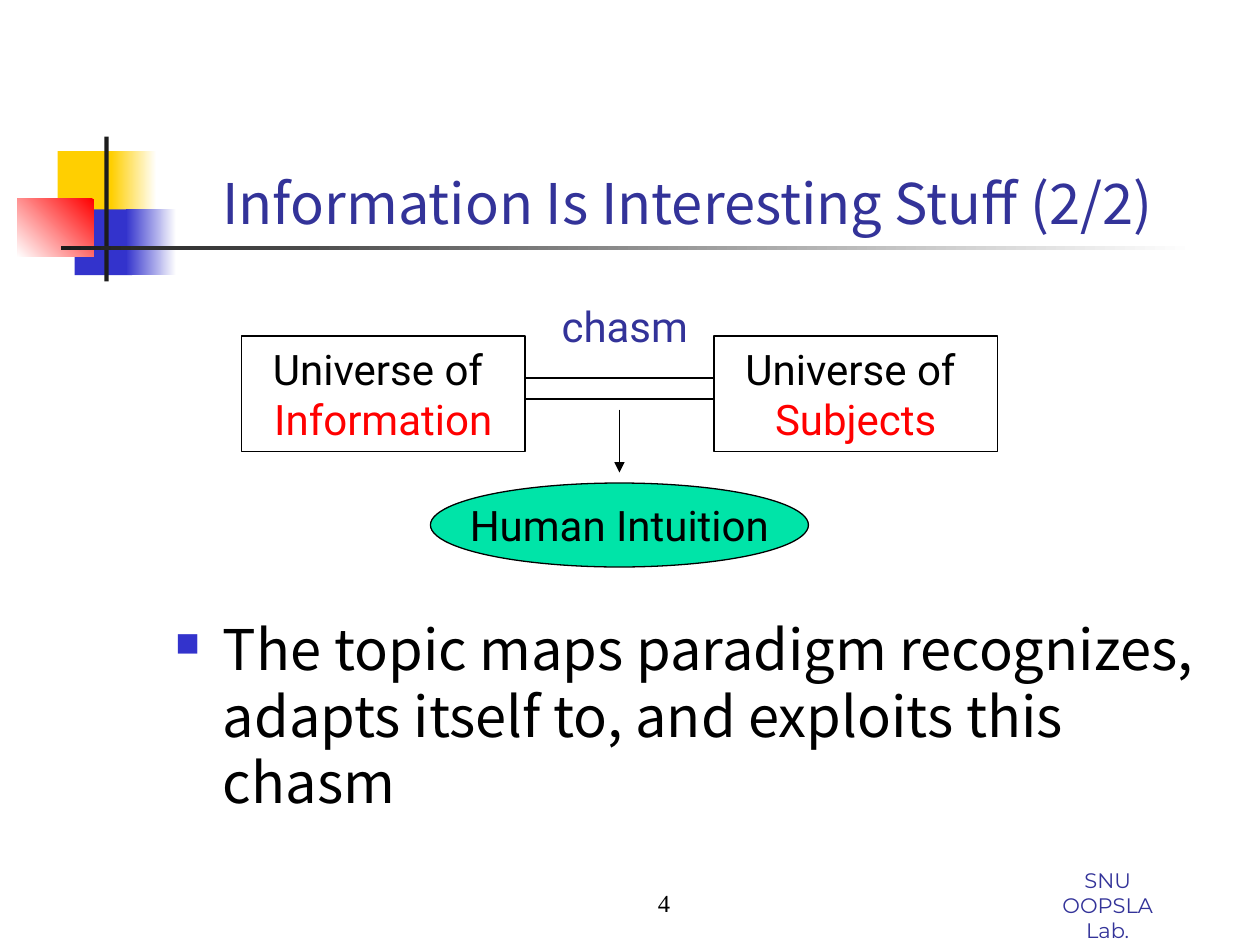
from lxml.etree import SubElement
from pptx import Presentation
from pptx.dml.color import RGBColor
from pptx.enum.shapes import MSO_CONNECTOR, MSO_SHAPE
from pptx.enum.text import MSO_ANCHOR, PP_ALIGN
from pptx.oxml.ns import qn
from pptx.util import Inches, Pt

BLACK = RGBColor(0x00, 0x00, 0x00)
WHITE = RGBColor(0xFF, 0xFF, 0xFF)
DARK = RGBColor(0x1C, 0x1C, 0x1C)
GOLD = RGBColor(0xFF, 0xCF, 0x01)
BLUE = RGBColor(0x33, 0x33, 0xCC)
NAVY = RGBColor(0x33, 0x33, 0x99)
RED = RGBColor(0xFF, 0x00, 0x00)
GREEN = RGBColor(0x00, 0xE4, 0xA8)
SANS, HEAD, LAB, SERIF = "Roboto", "Noto Sans CJK KR", "Montserrat", "Times New Roman"
COLS, ROWS = 120, 90


class Deck:
    """Draws styled elements on one slide, placed by grid columns and rows."""

    def __init__(self):
        self.prs = Presentation()
        self.prs.slide_width, self.prs.slide_height = Inches(10), Inches(7.5)
        self.slide = self.prs.slides.add_slide(self.prs.slide_layouts[6])

    def grid(self, col, row):
        return (round(self.prs.slide_width * col / COLS),
                round(self.prs.slide_height * row / ROWS))

    def label(self, shape, lines, size, font, align=PP_ALIGN.CENTER,
              anchor=MSO_ANCHOR.TOP, wrap=True):
        frame = shape.text_frame
        frame.word_wrap, frame.vertical_anchor = wrap, anchor
        for num, (words, color) in enumerate(lines):
            para = frame.add_paragraph() if num else frame.paragraphs[0]
            para.alignment = align
            run = para.add_run()
            run.text = words
            run.font.size, run.font.name = Pt(size), font
            run.font.color.rgb = color
        return frame

    def shape(self, area, fill, kind=MSO_SHAPE.RECTANGLE, line=None):
        item = self.slide.shapes.add_shape(
            kind, *self.grid(*area[:2]), *self.grid(*area[2:]))
        item.shadow.inherit = False
        item.fill.solid()
        item.fill.fore_color.rgb = fill
        if line is None:
            item.line.fill.background()
        else:
            item.line.color.rgb, item.line.width = line, Pt(0.75)
        return item

    def fade(self, area, start, end, angle=180):
        fill = self.shape(area, end).fill
        fill.gradient()
        fill.gradient_angle = angle
        for stop, color in zip(fill.gradient_stops, (start, end)):
            stop.color.rgb = color

    def node(self, area, lines, fill=WHITE, kind=MSO_SHAPE.RECTANGLE):
        item = self.shape(area, fill, kind, BLACK)
        self.label(item, lines, 24, SANS, anchor=MSO_ANCHOR.MIDDLE, wrap=False)

    def text(self, area, lines, size, font, **style):
        item = self.slide.shapes.add_textbox(
            *self.grid(*area[:2]), *self.grid(*area[2:]))
        return self.label(item, lines, size, font, **style)

    def bullet(self, area, words):
        frame = self.text(area, [(words, BLACK)], 32, HEAD, align=PP_ALIGN.LEFT)
        para = frame.paragraphs[0]
        para.line_spacing = Pt(38)
        props = para._p.get_or_add_pPr()
        props.set("marL", str(Inches(0.38)))
        props.set("indent", str(-Inches(0.38)))
        tint = SubElement(SubElement(props, qn("a:buClr")), qn("a:srgbClr"))
        tint.set("val", str(BLUE))
        SubElement(props, qn("a:buSzPct")).set("val", "60000")
        SubElement(props, qn("a:buChar")).set("char", "■")

    def line(self, start, end, arrow=False):
        item = self.slide.shapes.add_connector(
            MSO_CONNECTOR.STRAIGHT, *self.grid(*start), *self.grid(*end))
        item.line.color.rgb, item.line.width = BLACK, Pt(0.75)
        props = item._element.spPr
        if arrow:
            SubElement(props.find(qn("a:ln")), qn("a:tailEnd")).set("type", "triangle")
        SubElement(props, qn("a:effectLst"))


def main():
    deck = Deck()
    deck.shape((5.5, 14.4, 5.8, 6.25), GOLD)
    deck.fade((10.6, 14.4, 4.3, 6.25), WHITE, GOLD)
    deck.shape((7.1, 19.95, 5.5, 6.25), BLUE)
    deck.fade((12, 19.95, 4.8, 6.25), WHITE, BLUE)
    deck.fade((1.65, 18.95, 7.3, 5.5), RED, WHITE, 225)
    deck.shape((9.95, 13, 0.4, 13.8), DARK)
    deck.fade((5.8, 23.4, 108, 0.4), WHITE, DARK)

    deck.text((98.2, 82, 14.6, 6), [("SNU", NAVY), ("OOPSLA Lab.", NAVY)], 12, LAB)
    deck.text((20, 8, 97.3, 15), [("Information Is Interesting Stuff (2/2)", NAVY)],
              32, HEAD, align=PP_ALIGN.LEFT, anchor=MSO_ANCHOR.BOTTOM)
    deck.bullet((15.5, 58, 102, 22.5), "The topic maps paradigm recognizes, "
                "adapts itself to, and exploits this chasm")

    for col, topic in ((23, "Information"), (68, "Subjects")):
        deck.node((col, 32, 27, 11), [("Universe of ", BLACK), (topic, RED)])
    for row in (38, 36):
        deck.line((50, row), (68, row))
    deck.line((59, 39), (59, 45), arrow=True)
    deck.node((41, 46, 36, 8), [("Human Intuition", BLACK)], GREEN, MSO_SHAPE.OVAL)
    deck.text((52, 28, 15, 6), [("chasm", NAVY)], 24, SANS)
    deck.text((40, 82, 25, 6), [("4", BLACK)], 14, SERIF,
              align=PP_ALIGN.RIGHT, anchor=MSO_ANCHOR.BOTTOM)
    deck.prs.save("out.pptx")


if __name__ == "__main__":
    main()
